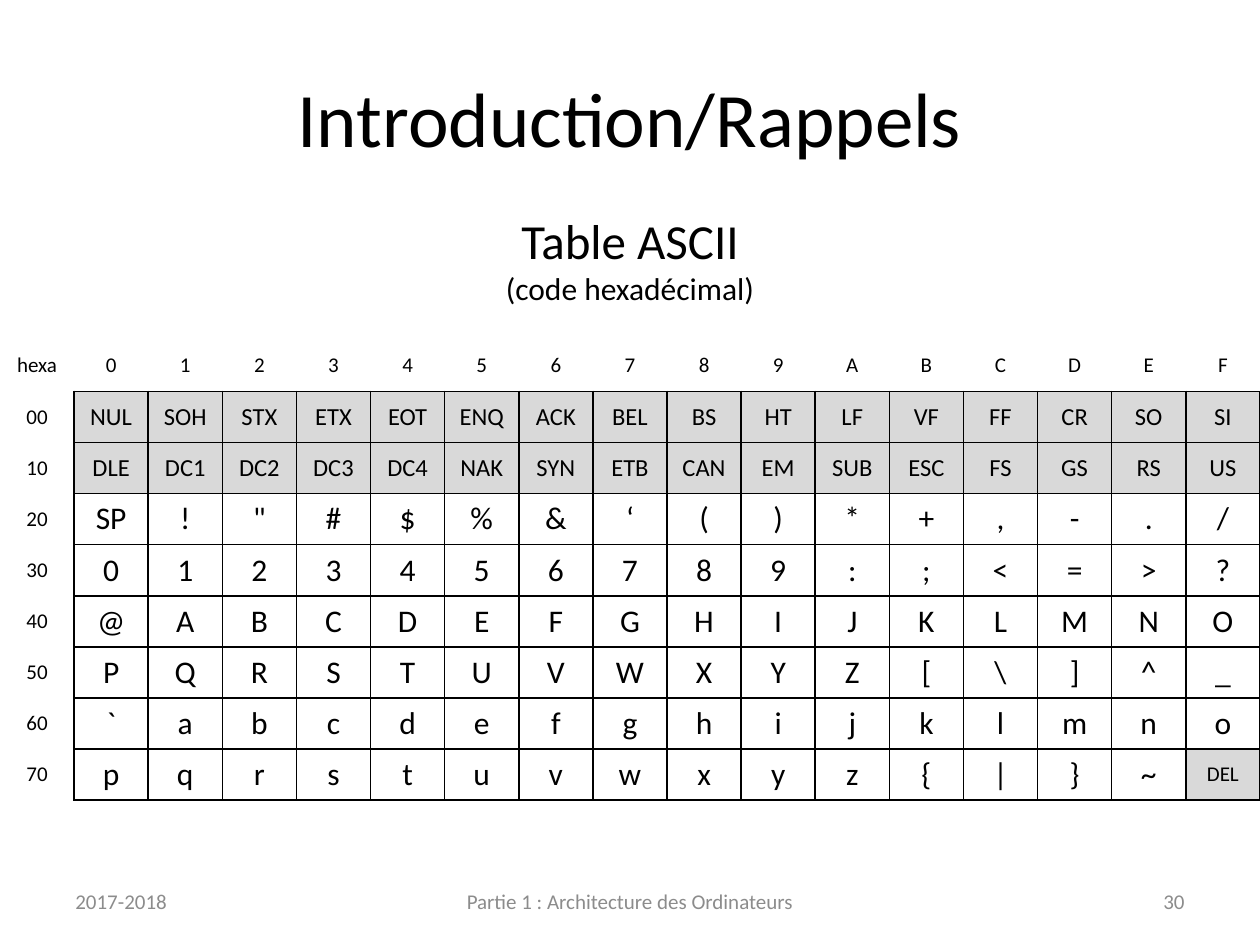
from lxml import etree
from pptx import Presentation
from pptx.dml.color import RGBColor
from pptx.enum import text
from pptx.oxml import ns
from pptx.util import Cm, Pt

FONT = "Calibri"
BLACK = RGBColor(0x00, 0x00, 0x00)
FOOTER_GREY = RGBColor(0x8C, 0x8C, 0x8C)
CONTROL_GREY = RGBColor(0xD9, 0xD9, 0xD9)
PLAIN_TABLE = "{2D5ABB26-0587-4C30-8999-92F81FD0307C}"
LEFT, CENTER, RIGHT = (text.PP_ALIGN.LEFT, text.PP_ALIGN.CENTER,
                       text.PP_ALIGN.RIGHT)
MIDDLE, TOP = text.MSO_ANCHOR.MIDDLE, text.MSO_ANCHOR.TOP

HEX_DIGITS = "0123456789ABCDEF"
ASCII_ROWS = [line.split() for line in r"""
NUL SOH STX ETX EOT ENQ ACK BEL BS HT LF VF FF CR SO SI
DLE DC1 DC2 DC3 DC4 NAK SYN ETB CAN EM SUB ESC FS GS RS US
SP ! " # $ % & ‘ ( ) * + , - . /
0 1 2 3 4 5 6 7 8 9 : ; < = > ?
@ A B C D E F G H I J K L M N O
P Q R S T U V W X Y Z [ \ ] ^ _
` a b c d e f g h i j k l m n o
p q r s t u v w x y z { | } ~ DEL
""".strip().splitlines()]


def write(p, words, size=12, color=BLACK, align=CENTER):
    """Add a formatted run to a paragraph."""
    p.alignment = align
    r = p.add_run()
    r.text = words
    r.font.name = FONT
    r.font.size = Pt(size)
    r.font.color.rgb = color


def add_text_box(s, left, top, width, height, anchor=MIDDLE):
    """Add an empty text box, in centimetres, and return its paragraph."""
    tf = s.shapes.add_textbox(Cm(left), Cm(top), Cm(width), Cm(height)).text_frame
    tf.word_wrap = True
    tf.vertical_anchor = anchor
    return tf.paragraphs[0]


def add_borders(cell, sides):
    for side in sides:
        ln = etree.SubElement(cell._tc.get_or_add_tcPr(), ns.qn(f"a:ln{side}"),
                              w=str(Pt(1)))
        fill = etree.SubElement(ln, ns.qn("a:solidFill"))
        etree.SubElement(fill, ns.qn("a:srgbClr"), val=str(BLACK))


def fill_cell(cell, words, size, borders="", fill=None):
    cell.margin_left = cell.margin_right = Cm(0.1)
    cell.vertical_anchor = MIDDLE
    add_borders(cell, borders)
    if fill is None:
        cell.fill.background()
    else:
        cell.fill.solid()
        cell.fill.fore_color.rgb = fill
    write(cell.text_frame.paragraphs[0], words, size=size)


def add_ascii_table(s):
    rows, cols = len(ASCII_ROWS) + 1, len(HEX_DIGITS) + 1
    table = s.shapes.add_table(rows, cols, Cm(0), Cm(6.86),
                               Cm(25.4), Cm(9.27)).table
    table.first_row = table.horz_banding = False
    table._tbl.tblPr.find(ns.qn("a:tableStyleId")).text = PLAIN_TABLE
    for column in table.columns:
        column.width = Cm(25.4 / cols)
    for row in table.rows:
        row.height = Cm(9.27 / rows)

    fill_cell(table.cell(0, 0), "hexa", 12)
    for col, digit in enumerate(HEX_DIGITS, 1):
        fill_cell(table.cell(0, col), digit, 12, borders="B")
    for row, symbols in enumerate(ASCII_ROWS, 1):
        fill_cell(table.cell(row, 0), f"{row - 1}0", 12, borders="R")
        for col, symbol in enumerate(symbols, 1):
            control = row <= 2 or symbol == "DEL"
            size = 12 if symbol == "DEL" else 14 if control else 18
            fill_cell(table.cell(row, col), symbol, size, borders="LRTB",
                      fill=CONTROL_GREY if control else None)


def add_footer(s):
    for left, width, words, align in (
            (1.27, 5.92, "2017-2018", LEFT),
            (8.68, 8.04, "Partie 1 : Architecture des Ordinateurs", CENTER),
            (18.21, 5.92, "30", RIGHT)):
        write(add_text_box(s, left, 17.65, width, 1.02), words,
              color=FOOTER_GREY, align=align)


def main():
    prs = Presentation()
    prs.slide_width, prs.slide_height = Cm(25.4), Cm(19.05)
    s = prs.slides.add_slide(prs.slide_layouts[6])

    write(add_text_box(s, 1.27, 0.76, 22.86, 3.18), "Introduction/Rappels", size=44)
    add_ascii_table(s)
    add_footer(s)
    p = add_text_box(s, 0, 4.11, 25.4, 2.31, anchor=TOP)
    write(p, "Table ASCII", size=28)
    p.add_line_break()
    write(p, "(code hexadécimal)", size=18)

    prs.save("out.pptx")


if __name__ == "__main__":
    main()
